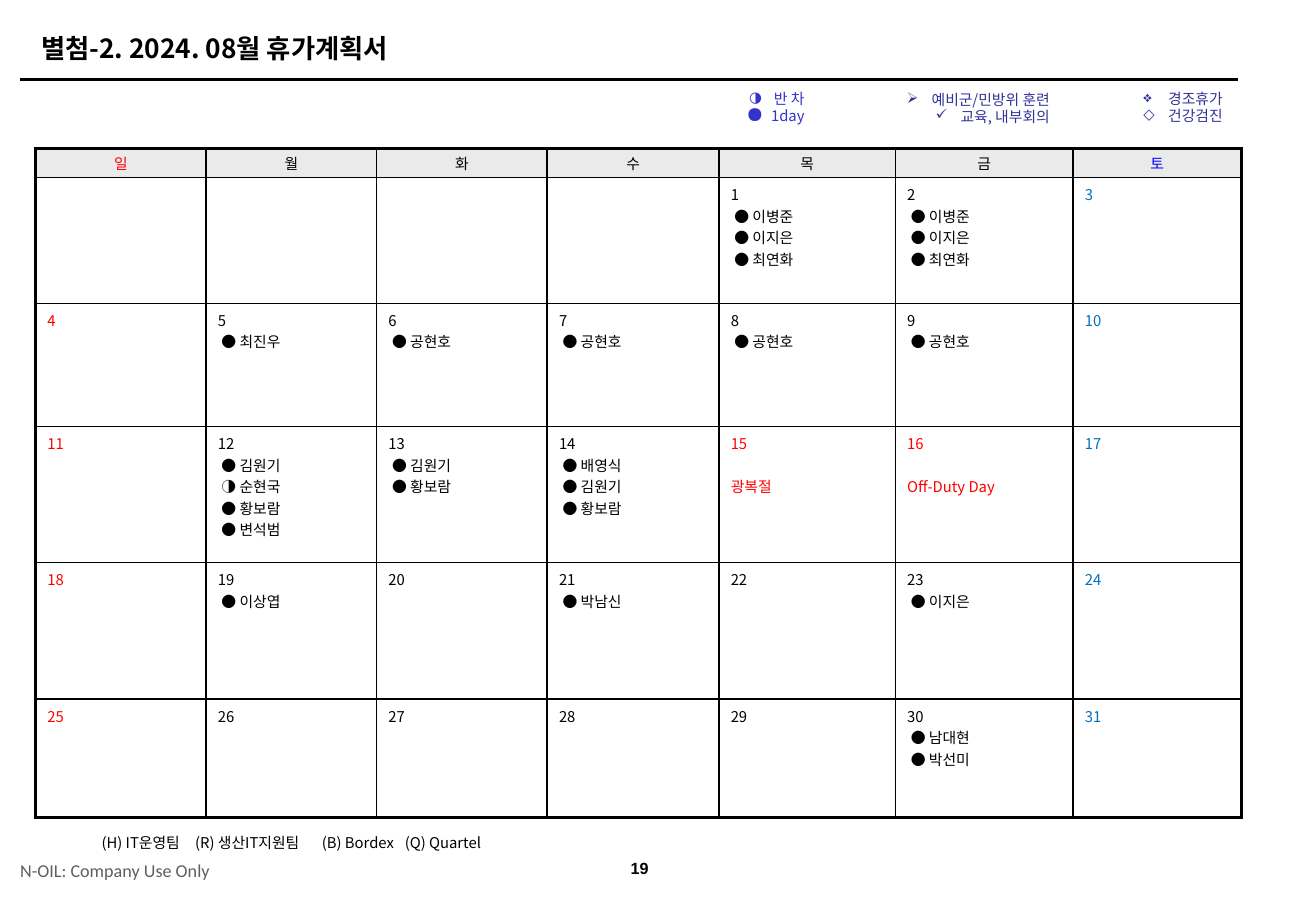
from lxml.etree import SubElement
from pptx import Presentation
from pptx.dml.color import RGBColor
from pptx.enum.shapes import MSO_CONNECTOR
from pptx.enum.text import MSO_ANCHOR as Anchor, MSO_AUTO_SIZE, PP_ALIGN as Align
from pptx.oxml.ns import qn
from pptx.util import Inches, Pt

BLACK = RGBColor(0x00, 0x00, 0x00)
WHITE = RGBColor(0xFF, 0xFF, 0xFF)
RED = RGBColor(0xFF, 0x00, 0x00)
BLUE = RGBColor(0x00, 0x00, 0xFF)
SATURDAY_BLUE = RGBColor(0x00, 0x70, 0xC0)
HEADER_GRAY = RGBColor(0xEA, 0xEA, 0xEA)
FOOTER_GRAY = RGBColor(0x5F, 0x5F, 0x5F)
VIOLET = RGBColor(0x33, 0x33, 0xCC)
INDIGO = RGBColor(0x33, 0x33, 0x99)
KOREAN_FONT = "Noto Sans CJK KR"

WEEKDAYS = "일월화수목금토"
COLUMN_WIDTHS = [1.44, 1.44, 1.44, 1.45, 1.49, 1.5, 1.42]
ROW_HEIGHTS = [0.25, 1.06, 1.04, 1.15, 1.15, 1]
FIRST_WEEKDAY = 4
DAYS_IN_MONTH = 31
LEAVE = {
    1: ["● 이병준", "● 이지은", "● 최연화"],
    2: ["● 이병준", "● 이지은", "● 최연화"],
    5: ["● 최진우"],
    6: ["● 공현호"],
    7: ["● 공현호"],
    8: ["● 공현호"],
    9: ["● 공현호"],
    12: ["● 김원기", "◑ 순현국", "● 황보람", "● 변석범"],
    13: ["● 김원기", "● 황보람"],
    14: ["● 배영식", "● 김원기", "● 황보람"],
    19: ["● 이상엽"],
    21: ["● 박남신"],
    23: ["● 이지은"],
    30: ["● 남대현", "● 박선미"],
}
HOLIDAYS = {15: "광복절", 16: "Off-Duty Day"}
LEGENDS = [
    (6.17, 0.72, 0.72, VIOLET, [("◑", "반 차", 100), ("●", "1day", 150)]),
    (7.41, 0.73, 1.55, INDIGO, [("➢", "예비군/민방위 훈련", 100), ("✓", "교육, 내부회의", 100)]),
    (8.59, 0.72, 1.83, INDIGO, [("❖", "경조휴가", 100), ("◇", "건강검진", 100)]),
]


def style_paragraph(para, color, size=9, name=KOREAN_FONT, bold=False):
    """Set the Latin and East Asian font of a whole paragraph."""
    font = para.font
    font.size, font.bold, font.name = Pt(size), bold, name
    font.color.rgb = color
    defaults = para._p.get_or_add_pPr().find(qn("a:defRPr"))
    SubElement(defaults, qn("a:ea"), typeface=name)


def next_paragraph(frame, text):
    """Fill the empty first paragraph or append a new one."""
    para = frame.paragraphs[0] if not frame.text else frame.add_paragraph()
    para.text = text
    return para


def add_box(slide, left, top, width, height, wrap=True):
    """Add a text box and return its text frame."""
    box = slide.shapes.add_textbox(Inches(left), Inches(top), Inches(width), Inches(height))
    box.text_frame.word_wrap = wrap
    return box.text_frame


def add_title(slide, text):
    """Place the title and the rule below it."""
    title = slide.shapes.title
    title.left, title.top = Inches(0.25), Inches(0.22)
    title.width, title.height = Inches(9.9), Inches(0.37)
    frame = title.text_frame
    frame.auto_size = MSO_AUTO_SIZE.NONE
    frame.vertical_anchor = Anchor.MIDDLE
    para = next_paragraph(frame, text)
    para.alignment = Align.LEFT
    style_paragraph(para, BLACK, 16, bold=True)

    rule = slide.shapes.add_connector(
        MSO_CONNECTOR.STRAIGHT, Inches(0.17), Inches(0.67), Inches(10.45), Inches(0.67))
    rule.line.color.rgb = BLACK
    rule.line.width = Pt(1.5)
    SubElement(rule._element.spPr, qn("a:effectLst"))


def add_legend(slide, left, top, width, color, entries):
    """Add a right-aligned bulleted key of leave symbols."""
    frame = add_box(slide, left, top, width, 0.39, wrap=width > 1)
    for symbol, label, percent in entries:
        para = next_paragraph(frame, label)
        properties = para._p.get_or_add_pPr()
        properties.set("marL", str(Inches(0.21)))
        properties.set("indent", str(Inches(-0.21)))
        bullet_color = SubElement(properties, qn("a:buClr"))
        SubElement(bullet_color, qn("a:srgbClr"), val=str(color))
        SubElement(properties, qn("a:buSzPct"), val=str(percent * 1000))
        SubElement(properties, qn("a:buChar"), char=symbol)
        para.alignment = Align.RIGHT
        para.line_spacing = 0.95
        style_paragraph(para, color)


def format_cell(cell, row, column, fill):
    """Draw a cell's borders, thick on the outer edge, and its fill."""
    outer = {
        "lnL": column == 0,
        "lnR": column == len(COLUMN_WIDTHS) - 1,
        "lnT": row == 0,
        "lnB": row == len(ROW_HEIGHTS) - 1,
    }
    properties = cell._tc.get_or_add_tcPr()
    for side, thick in outer.items():
        border = SubElement(properties, qn(f"a:{side}"), w=str(Pt(2 if thick else 1)))
        solid = SubElement(border, qn("a:solidFill"))
        SubElement(solid, qn("a:srgbClr"), val=str(BLACK))
    cell.fill.solid()
    cell.fill.fore_color.rgb = fill


def fill_header(cell, weekday, color):
    """Write a weekday name in the header row."""
    cell.vertical_anchor = Anchor.MIDDLE
    cell.margin_top = cell.margin_bottom = Inches(0.02)
    para = next_paragraph(cell.text_frame, weekday)
    para.alignment = Align.CENTER
    style_paragraph(para, color)


def fill_day(cell, day, color):
    """Write a date with its holiday or the people on leave."""
    frame = cell.text_frame
    style_paragraph(next_paragraph(frame, str(day)), color)
    if day in HOLIDAYS:
        para = next_paragraph(frame, HOLIDAYS[day])
        para.space_before = Pt(13)
        style_paragraph(para, color)
    for person in LEAVE.get(day, []):
        para = next_paragraph(frame, person)
        para._p.get_or_add_pPr().set("marL", str(Inches(0.03)))
        style_paragraph(para, color)


def add_calendar(slide):
    """Add the month table."""
    table = slide.shapes.add_table(
        len(ROW_HEIGHTS), len(COLUMN_WIDTHS), Inches(0.3), Inches(1.25),
        Inches(sum(COLUMN_WIDTHS)), Inches(sum(ROW_HEIGHTS))).table
    table.first_row = table.horz_banding = False
    for column, width in zip(table.columns, COLUMN_WIDTHS):
        column.width = Inches(width)
    for row, height in zip(table.rows, ROW_HEIGHTS):
        row.height = Inches(height)
    for row in range(len(ROW_HEIGHTS)):
        for column in range(len(COLUMN_WIDTHS)):
            fill = HEADER_GRAY if row == 0 else WHITE
            format_cell(table.cell(row, column), row, column, fill)
    for column, weekday in enumerate(WEEKDAYS):
        fill_header(table.cell(0, column), weekday, {0: RED, 6: BLUE}.get(column, BLACK))
    for day in range(1, DAYS_IN_MONTH + 1):
        week, column = divmod(day + FIRST_WEEKDAY - 1, 7)
        color = RED if day in HOLIDAYS else {0: RED, 6: SATURDAY_BLUE}.get(column, BLACK)
        fill_day(table.cell(week + 1, column), day, color)


def add_team_note(slide):
    """Add the team key below the calendar, spaced by tab stops."""
    frame = add_box(slide, 0.76, 7, 3.6, 0.24)
    frame.vertical_anchor = Anchor.MIDDLE
    para = next_paragraph(frame, "(H) IT운영팀\t(R) 생산IT지원팀\t(B) Bordex\t(Q) Quartel")
    stops = SubElement(para._p.get_or_add_pPr(), qn("a:tabLst"))
    for position in (0.79, 1.86, 2.56):
        SubElement(stops, qn("a:tab"), pos=str(Inches(position)), algn="l")
    para.line_spacing = 0.95
    style_paragraph(para, BLACK)


def add_footer(slide):
    """Add the confidentiality label and the page number."""
    label = add_box(slide, 0.17, 7.19, 1.92, 0.31)
    label.margin_left = label.margin_right = 0
    label.vertical_anchor = Anchor.MIDDLE
    style_paragraph(
        next_paragraph(label, "N-OIL: Company Use Only"), FOOTER_GRAY, 11, "Calibri")

    number = add_box(slide, 5.13, 7.17, 0.54, 0.31)
    number.vertical_anchor = Anchor.MIDDLE
    para = next_paragraph(number, "19")
    para.alignment = Align.CENTER
    style_paragraph(para, BLACK, 9.8, "Arial", bold=True)


def main():
    """Build the leave calendar slide."""
    deck = Presentation()
    deck.slide_width, deck.slide_height = Inches(11.11), Inches(7.57)
    slide = deck.slides.add_slide(deck.slide_layouts[5])
    add_title(slide, "별첨-2. 2024. 08월 휴가계획서")
    add_calendar(slide)
    for legend in LEGENDS:
        add_legend(slide, *legend)
    add_team_note(slide)
    add_footer(slide)
    deck.save("out.pptx")


if __name__ == "__main__":
    main()
